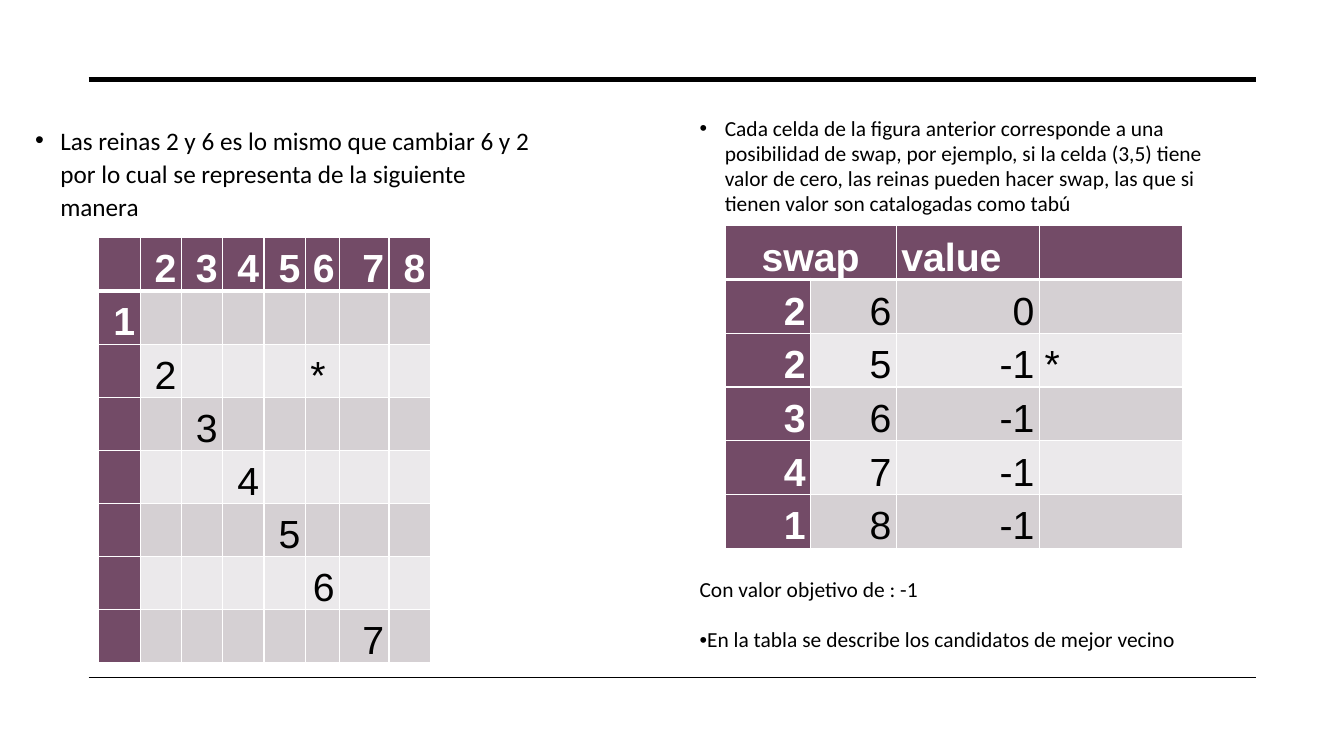
import dataclasses

import lxml.etree
import pptx
import pptx.dml.color
import pptx.enum.shapes
import pptx.enum.text
import pptx.oxml.ns
import pptx.slide
import pptx.table
import pptx.text.text
import pptx.util

Inches = pptx.util.Inches
Pt = pptx.util.Pt
Align = pptx.enum.text.PP_ALIGN
qualified = pptx.oxml.ns.qn


@dataclasses.dataclass(frozen=True)
class Theme:
    ink: str = "000000"
    paper: str = "FFFFFF"
    header: str = "734B67"
    bands: tuple[str, str] = ("D5D0D3", "EBE9EB")
    body_font: str = "Calibri"
    table_font: str = "Arial"
    lead_size: float = 18
    note_size: float = 15.3
    table_size: float = 28
    thin_border: float = 1
    thick_border: float = 3


THEME = Theme()


@dataclasses.dataclass(frozen=True)
class Rule:
    top: float
    weight: float


@dataclasses.dataclass(frozen=True)
class Line:
    text: str
    size: float
    spacing: float
    bullet: bool = False
    indent: float = 0


@dataclasses.dataclass(frozen=True)
class TextBlock:
    left: float
    top: float
    height: float
    lines: tuple[Line, ...]


@dataclasses.dataclass(frozen=True)
class Grid:
    left: float
    top: float
    height: float
    columns: tuple[float, ...]
    rows: tuple[tuple[str, ...], ...]
    merged_header: int = 1


RULES = (Rule(0.79, 3.5), Rule(6.72, 1))

TEXT_BLOCKS = (
    TextBlock(0.25, 1.21, 1.1, (
        Line("Las reinas 2 y 6 es lo mismo que cambiar 6 y 2 por lo cual se "
             "representa de la siguiente manera", THEME.lead_size, 1.1, True, 0.25),
    )),
    TextBlock(6.84, 1.15, 1.05, (
        Line("Cada celda de la figura anterior corresponde a una posibilidad de swap, "
             "por ejemplo, si la celda (3,5) tiene valor de cero, las reinas pueden "
             "hacer swap, las que si tienen valor son catalogadas como tabú",
             THEME.note_size, 0.98, True, 0.25),
    )),
    TextBlock(6.84, 5.72, 0.8, (
        Line("Con valor objetivo de : -1", THEME.note_size, 1),
        Line("En la tabla se describe los candidatos de mejor vecino",
             THEME.note_size, 0.97, True),
    )),
)


def queen_rows() -> tuple[tuple[str, ...], ...]:
    """Queens 2 to 8 across, each row number on the diagonal."""
    rows = [[""] + [str(queen) for queen in range(2, 9)]]
    for queen in range(1, 8):
        rows.append([str(queen) if column == queen - 1 else "" for column in range(8)])
    rows[2][5] = "*"
    return tuple(tuple(row) for row in rows)


GRIDS = (
    Grid(0.98, 2.36, 4.22, (0.41,) * 5 + (0.34, 0.49, 0.41), queen_rows()),
    Grid(7.19, 2.24, 3.2, (0.85, 0.85, 1.42, 1.42), (
        ("swap", "", "value", ""),
        ("2", "6", "0", ""),
        ("2", "5", "-1", "*"),
        ("3", "6", "-1", ""),
        ("4", "7", "-1", ""),
        ("1", "8", "-1", ""),
    ), merged_header=2),
)


def set_values(target: object, values: dict[str, object]) -> None:
    for name, value in values.items():
        setattr(target, name, value)


def color(code: str) -> pptx.dml.color.RGBColor:
    return pptx.dml.color.RGBColor.from_string(code)


def write(para: pptx.text.text._Paragraph, text: str, font: str, size: float,
          ink: str, bold: bool = False) -> None:
    span = para.add_run()
    span.text = text
    set_values(span.font, {"name": font, "size": Pt(size), "bold": bold})
    span.font.color.rgb = color(ink)


def draw_rule(page: pptx.slide.Slide, rule: Rule) -> None:
    line = page.shapes.add_connector(
        pptx.enum.shapes.MSO_CONNECTOR.STRAIGHT,
        Inches(0.88), Inches(rule.top), Inches(12.46), Inches(rule.top))
    line.line.color.rgb = color(THEME.ink)
    line.line.width = Pt(rule.weight)
    lxml.etree.SubElement(line._element.spPr, qualified("a:effectLst"))


def draw_text(page: pptx.slide.Slide, block: TextBlock) -> None:
    box = page.shapes.add_textbox(
        Inches(block.left), Inches(block.top), Inches(5.24), Inches(block.height))
    frame = box.text_frame
    set_values(frame, {"word_wrap": True, "margin_top": 0, "margin_bottom": 0})
    for index, line in enumerate(block.lines):
        para = frame.add_paragraph() if index else frame.paragraphs[0]
        set_values(para, {"line_spacing": line.spacing, "alignment": Align.LEFT,
                          "space_before": Pt(10 if index else 0),
                          "space_after": Pt(8)})
        if line.bullet:
            properties = para._p.get_or_add_pPr()
            properties.set("marL", str(Inches(line.indent)))
            properties.set("indent", str(-Inches(line.indent)))
            lxml.etree.SubElement(properties, qualified("a:buFont"), typeface="Arial")
            lxml.etree.SubElement(properties, qualified("a:buChar"), char="•")
        write(para, line.text, THEME.body_font, line.size, THEME.ink)


def set_borders(cell: pptx.table._Cell, row: int) -> None:
    properties = cell._tc.get_or_add_tcPr()
    thick_side = {0: "B", 1: "T"}.get(row)  # the edge under the header row
    for side in "LRTB":
        weight = THEME.thick_border if side == thick_side else THEME.thin_border
        edge = lxml.etree.SubElement(
            properties, qualified(f"a:ln{side}"), w=str(Pt(weight)))
        fill = lxml.etree.SubElement(edge, qualified("a:solidFill"))
        lxml.etree.SubElement(fill, qualified("a:srgbClr"), val=THEME.paper)


def draw_grid(page: pptx.slide.Slide, grid: Grid) -> None:
    table = page.shapes.add_table(
        len(grid.rows), len(grid.columns), Inches(grid.left), Inches(grid.top),
        Inches(sum(grid.columns)), Inches(grid.height)).table
    for column, width in zip(table.columns, grid.columns):
        column.width = Inches(width)
    for row in table.rows:
        row.height = Inches(grid.height / len(grid.rows))
    if grid.merged_header > 1:
        table.cell(0, 0).merge(table.cell(0, grid.merged_header - 1))

    for row, texts in enumerate(grid.rows):
        for column, text in enumerate(texts):
            cell = table.cell(row, column)
            is_header = row == 0 or column == 0
            set_borders(cell, row)
            cell.fill.solid()
            cell.fill.fore_color.rgb = color(
                THEME.header if is_header else THEME.bands[(row - 1) % 2])
            if not text:
                continue
            set_values(cell, {
                "vertical_anchor": pptx.enum.text.MSO_ANCHOR.BOTTOM,
                "margin_left": Inches(0.05), "margin_right": Inches(0.05),
                "margin_top": 0, "margin_bottom": 0})
            is_number = text.lstrip("-").isdigit()
            para = cell.text_frame.paragraphs[0]
            set_values(para, {
                "alignment": Align.RIGHT if is_number
                else Align.CENTER if cell.is_merge_origin else Align.LEFT,
                "line_spacing": 1.07, "space_after": Pt(8)})
            write(para, text, THEME.table_font, THEME.table_size,
                  THEME.paper if is_header else THEME.ink, is_header)


def main() -> None:
    deck = pptx.Presentation()
    set_values(deck, {"slide_width": Inches(13.33), "slide_height": Inches(7.5)})
    page = deck.slides.add_slide(deck.slide_layouts[6])
    # Rules above and below the content
    for rule in RULES:
        draw_rule(page, rule)
    # Explanations
    for block in TEXT_BLOCKS:
        draw_text(page, block)
    # Queen matrix and swap candidates
    for grid in GRIDS:
        draw_grid(page, grid)
    deck.save("out.pptx")


if __name__ == "__main__":
    main()
